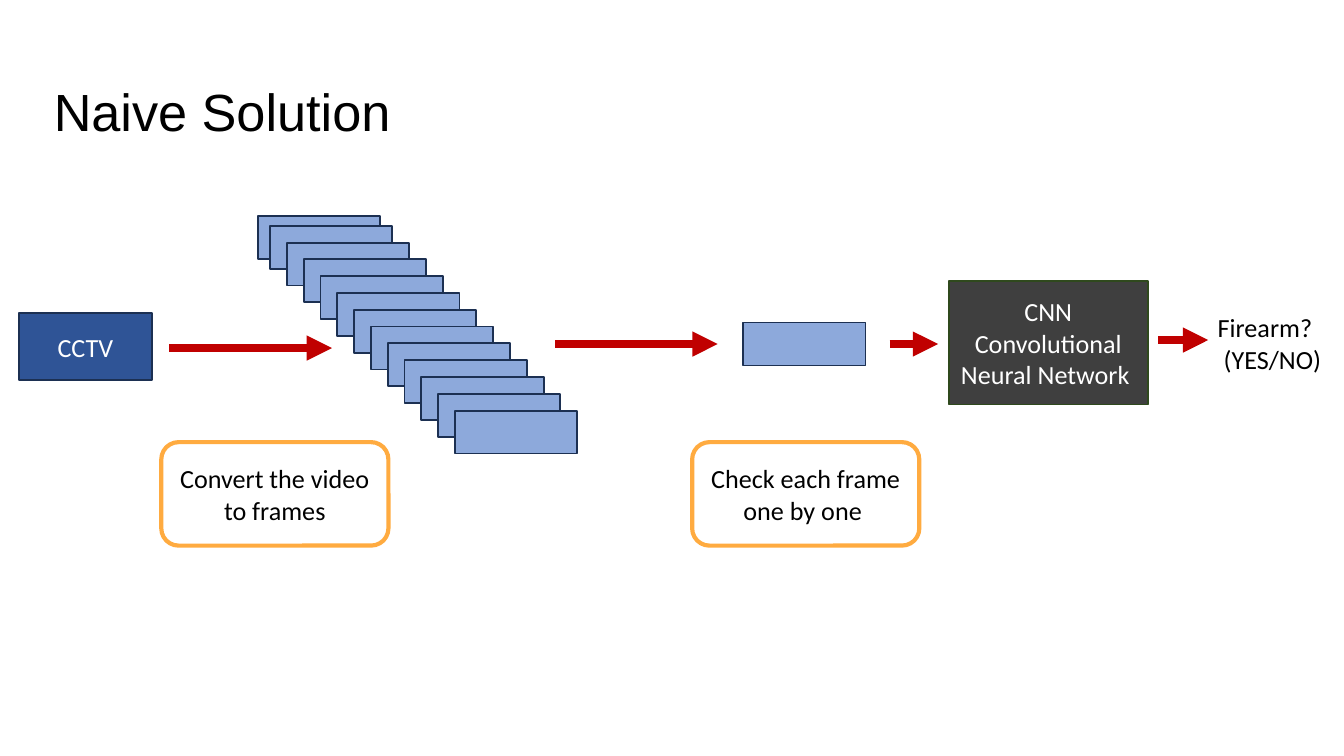
from lxml.etree import SubElement
from pptx import Presentation
from pptx.dml.color import RGBColor
from pptx.enum.shapes import MSO_CONNECTOR, MSO_SHAPE
from pptx.enum.text import MSO_ANCHOR, MSO_AUTO_SIZE, PP_ALIGN
from pptx.oxml.ns import qn
from pptx.util import Inches, Pt

COLORS = {
    "black": "000000",
    "white": "FFFFFF",
    "camera": "2F5496",
    "frame": "8DA9DB",
    "navy": "1C3052",
    "network": "3F3F3F",
    "green": "2F491D",
    "arrow": "C00000",
    "note": "FFAB40",
}
FRAME_W, FRAME_H, FRAME_STEP = 0.91, 0.32, 1 / 8


def rgb(name):
    """Return the palette colour called name."""
    return RGBColor.from_string(COLORS[name])


def write(shape, lines, color, size=14, font="Calibri", align=None, anchor=MSO_ANCHOR.MIDDLE):
    """Fill a shape with one paragraph per line and format its runs."""
    tf = shape.text_frame
    tf.word_wrap = True
    tf.vertical_anchor = anchor
    tf.margin_left = tf.margin_right = Inches(0.07)
    tf.margin_top = tf.margin_bottom = Inches(0.04)
    tf.text = "\n".join(lines)
    for p in tf.paragraphs:
        p.alignment = align
        for r in p.runs:
            r.font.name = font
            r.font.size = Pt(size)
            r.font.color.rgb = rgb(color)
    return tf


def add_box(shapes, box, fill, line, weight=1, kind=MSO_SHAPE.RECTANGLE):
    """Add an outlined shape, unfilled when fill is None."""
    s = shapes.add_shape(kind, *map(Inches, box))
    s.shadow.inherit = False
    if fill:
        s.fill.solid()
        s.fill.fore_color.rgb = rgb(fill)
    else:
        s.fill.background()
    s.line.color.rgb = rgb(line)
    s.line.width = Pt(weight)
    return s


def add_arrow(shapes, x, y, length):
    """Add a horizontal arrow pointing right."""
    c = shapes.add_connector(
        MSO_CONNECTOR.STRAIGHT, Inches(x), Inches(y), Inches(x + length), Inches(y)
    )
    c.line.color.rgb = rgb("arrow")
    c.line.width = Pt(4.5)
    SubElement(c.line._get_or_add_ln(), qn("a:tailEnd"), type="triangle")
    SubElement(c._element.spPr, qn("a:effectLst"))


def add_title(slide, box, text):
    """Place the slide title."""
    s = slide.shapes.title
    s.left, s.top, s.width, s.height = map(Inches, box)
    tf = write(s, [text], "black", 28, "Arial", PP_ALIGN.LEFT)
    tf.paragraphs[0].line_spacing = 0.9


def add_block(shapes, box, lines, fill, line):
    """Add a filled block with a centred white label."""
    write(add_box(shapes, box, fill, line), lines, "white", align=PP_ALIGN.CENTER)


def add_note(shapes, box, text):
    """Add a rounded caption box."""
    s = add_box(shapes, box, None, "note", 2.25, MSO_SHAPE.ROUNDED_RECTANGLE)
    write(s, [text], "black", align=PP_ALIGN.CENTER)


def add_frame(shapes, x, y):
    """Add a single video frame."""
    add_box(shapes, (x, y, FRAME_W, FRAME_H), "frame", "navy")


def add_frame_stack(shapes, x, y, count):
    """Add a cascade of frames, the rearmost tucked closer to the next."""
    stack = shapes.add_group_shape().shapes
    add_frame(stack, x, y)
    for i in range(count - 1):
        add_frame(stack, x + 0.09 + i * FRAME_STEP, y + 0.07 + i * FRAME_STEP)


def add_answer(shapes, box, lines):
    """Add the question that the network answers."""
    s = shapes.add_textbox(*map(Inches, box))
    tf = write(s, lines, "black", anchor=MSO_ANCHOR.TOP)
    tf.auto_size = MSO_AUTO_SIZE.SHAPE_TO_FIT_TEXT


def main():
    """Build the slide and save it."""
    prs = Presentation()
    prs.slide_width, prs.slide_height = Inches(10), Inches(10 * 9 / 16)
    slide = prs.slides.add_slide(prs.slide_layouts[5])
    shapes = slide.shapes

    add_title(slide, (0.33, 0.31, 8.62, 1.09), "Naive Solution")
    add_block(shapes, (0.14, 2.33, 0.99, 0.5), ["CCTV"], "camera", "navy")
    add_arrow(shapes, 1.26, 2.59, 1.21)
    add_frame_stack(shapes, 1.92, 1.61, 13)
    add_note(shapes, (1.2, 3.29, 1.69, 0.77), "Convert the video to frames")
    add_arrow(shapes, 4.13, 2.56, 1.21)
    add_frame(shapes, 5.53, 2.4)
    add_arrow(shapes, 8.62, 2.53, 0.37)
    add_answer(shapes, (8.99, 2.28, 0.95, 0.55), ["Firearm?", " (YES/NO)"])
    add_block(
        shapes, (7.06, 2.09, 1.48, 0.92), ["CNN", "Convolutional Neural Network "], "network", "green"
    )
    add_arrow(shapes, 6.62, 2.56, 0.36)
    add_note(shapes, (5.15, 3.29, 1.69, 0.77), "Check each frame one by one ")
    prs.save("out.pptx")


if __name__ == "__main__":
    main()
